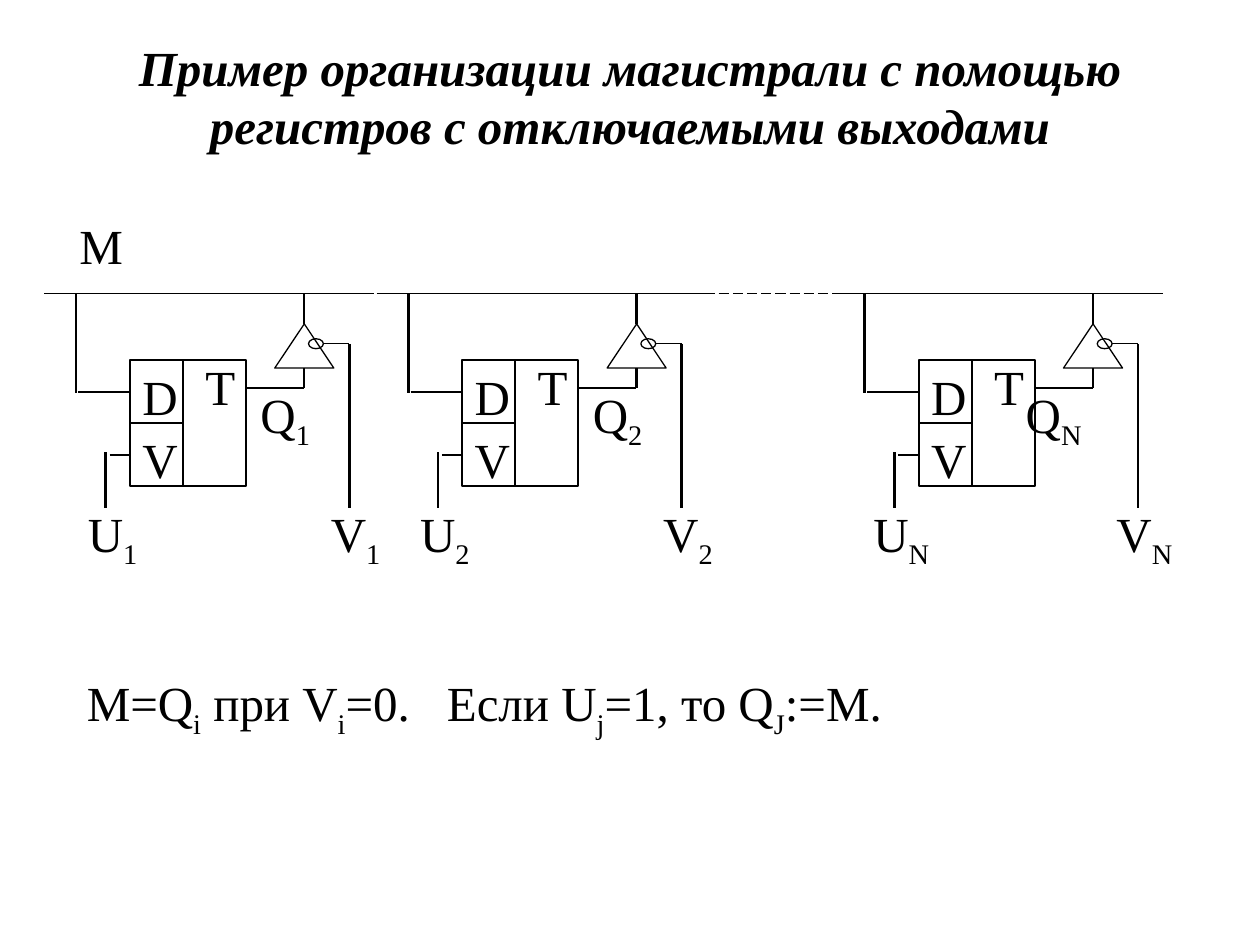
from lxml.etree import SubElement
from pptx import Presentation
from pptx.dml.color import RGBColor
from pptx.enum.dml import MSO_LINE
from pptx.enum.shapes import MSO_CONNECTOR, MSO_SHAPE
from pptx.enum.text import MSO_ANCHOR, PP_ALIGN
from pptx.oxml.ns import qn
from pptx.util import Cm, Pt

BLACK = "000000"
FONT = "Times New Roman"
THIN, FRAME, THICK = 0.74, 0.99, 1.5


def add_text(shapes, text, left, top, width, height, *, align=PP_ALIGN.CENTER,
             anchor=MSO_ANCHOR.TOP, emphasis=False, space_before=0, color=BLACK):
    """An underscore makes the next character a subscript."""
    box = shapes.add_textbox(Cm(left), Cm(top), Cm(width), Cm(height))
    frame = box.text_frame
    frame.word_wrap = True
    frame.vertical_anchor = anchor
    para = frame.paragraphs[0]
    para.alignment = align
    para.space_before = Pt(space_before)
    first, *others = text.split("_")
    pieces = [(first, False)]
    for other in others:
        pieces += [(other[0], True), (other[1:], False)]
    for piece, lowered in pieces:
        if not piece:
            continue
        span = para.add_run()
        span.text = piece
        span.font.name = FONT
        span.font.size = Pt(28)
        span.font.bold = span.font.italic = emphasis
        span.font.color.rgb = RGBColor.from_string(color)
        if lowered:
            span._r.get_or_add_rPr().set("baseline", "-25000")
    return para


def add_line(shapes, x1, y1, x2, y2, weight, color=BLACK):
    line = shapes.add_connector(MSO_CONNECTOR.STRAIGHT, Cm(x1), Cm(y1), Cm(x2), Cm(y2))
    line.line.width = Pt(weight)
    line.line.color.rgb = RGBColor.from_string(color)
    SubElement(line._element.spPr, qn("a:effectLst"))
    return line


deck = Presentation()
deck.slide_width, deck.slide_height = Cm(25.4), Cm(19.05)
page = deck.slides.add_slide(deck.slide_layouts[6])

# Title and bus name
add_text(page.shapes, "Пример организации магистрали с помощью регистров с отключаемыми выходами",
         1.9, 0.74, 21.6, 2.39, anchor=MSO_ANCHOR.MIDDLE, emphasis=True)
add_text(page.shapes, "M", 1.09, 4.22, 1.9, 1.37)

# One register stage, measured from the left end of its bus section
BUS_Y, PIN_Y = 5.92, 10.24
OUTPUT_X, CONTROL_X = 5.24, 6.15
outlines = [
    (MSO_SHAPE.RECTANGLE, 1.73, 7.26, 1.07, 1.27, FRAME),
    (MSO_SHAPE.RECTANGLE, 1.73, 8.53, 1.07, 1.27, FRAME),
    (MSO_SHAPE.RECTANGLE, 2.8, 7.26, 1.27, 2.54, FRAME),
    (MSO_SHAPE.FLOWCHART_EXTRACT, 4.65, 6.53, 1.19, 0.89, THIN),
    (MSO_SHAPE.OVAL, 5.33, 6.83, 0.3, 0.2, THIN),
]
wires = [
    (0, BUS_Y, 6.65, BUS_Y, THIN),
    (0.64, BUS_Y, 0.64, 7.92, THICK),
    (0.69, 7.9, 1.73, 7.9, THIN),
    (1.32, 9.17, 1.73, 9.17, THIN),
    (1.24, 9.12, 1.24, PIN_Y, THICK),
    (4.05, 7.82, OUTPUT_X, 7.82, THIN),
    (OUTPUT_X, 7.42, OUTPUT_X, 7.82, THICK),
    (OUTPUT_X, BUS_Y, OUTPUT_X, 6.53, THICK),
    (5.62, 6.93, CONTROL_X, 6.93, THIN),
    (CONTROL_X, 6.93, CONTROL_X, PIN_Y, THICK),
]
letters = [("D", 1.73, 7.26), ("V", 1.73, 8.53), ("T", 3.0, 7.06)]

for index, stage_x, q_x in [("1", 0.89, 3.91), ("2", 7.59, 3.91), ("N", 16.79, 3.5)]:
    stage = page.shapes.add_group_shape().shapes
    for kind, x, y, width, height, weight in outlines:
        outline = stage.add_shape(kind, Cm(stage_x + x), Cm(y), Cm(width), Cm(height))
        outline.shadow.inherit = False
        outline.fill.background()
        outline.line.width = Pt(weight)
        outline.line.color.rgb = RGBColor.from_string(BLACK)
    for x1, y1, x2, y2, weight in wires:
        add_line(stage, stage_x + x1, y1, stage_x + x2, y2, weight)
    for letter, x, y in letters:
        add_text(stage, letter, stage_x + x, y, 1.07, 1.37, align=PP_ALIGN.LEFT)
    for signal, x, y in [("U", 0.43, 10.03), ("V", 5.33, 10.03), ("Q", q_x, 7.62)]:
        add_text(stage, f"{signal}_{index}", stage_x + x, y, 1.9, 1.37)

# Dashed bus section for the stages left out
gap = add_line(page.shapes, 14.2, BUS_Y, 16.99, BUS_Y, THIN)
gap.line.dash_style = MSO_LINE.LONG_DASH

# Transfer rule, its second sentence set on a tab stop
rule = add_text(page.shapes, "M=Q_i при V_i=0.\tЕсли U_j=1, то Q_J:=M.", 1.5, 13.44, 22.8, 1.6,
                align=PP_ALIGN.LEFT, space_before=17.5)
tabs = SubElement(rule._p.get_or_add_pPr(), qn("a:tabLst"))
SubElement(tabs, qn("a:tab"), pos=str(Cm(7.26)), algn="l")

deck.save("out.pptx")
